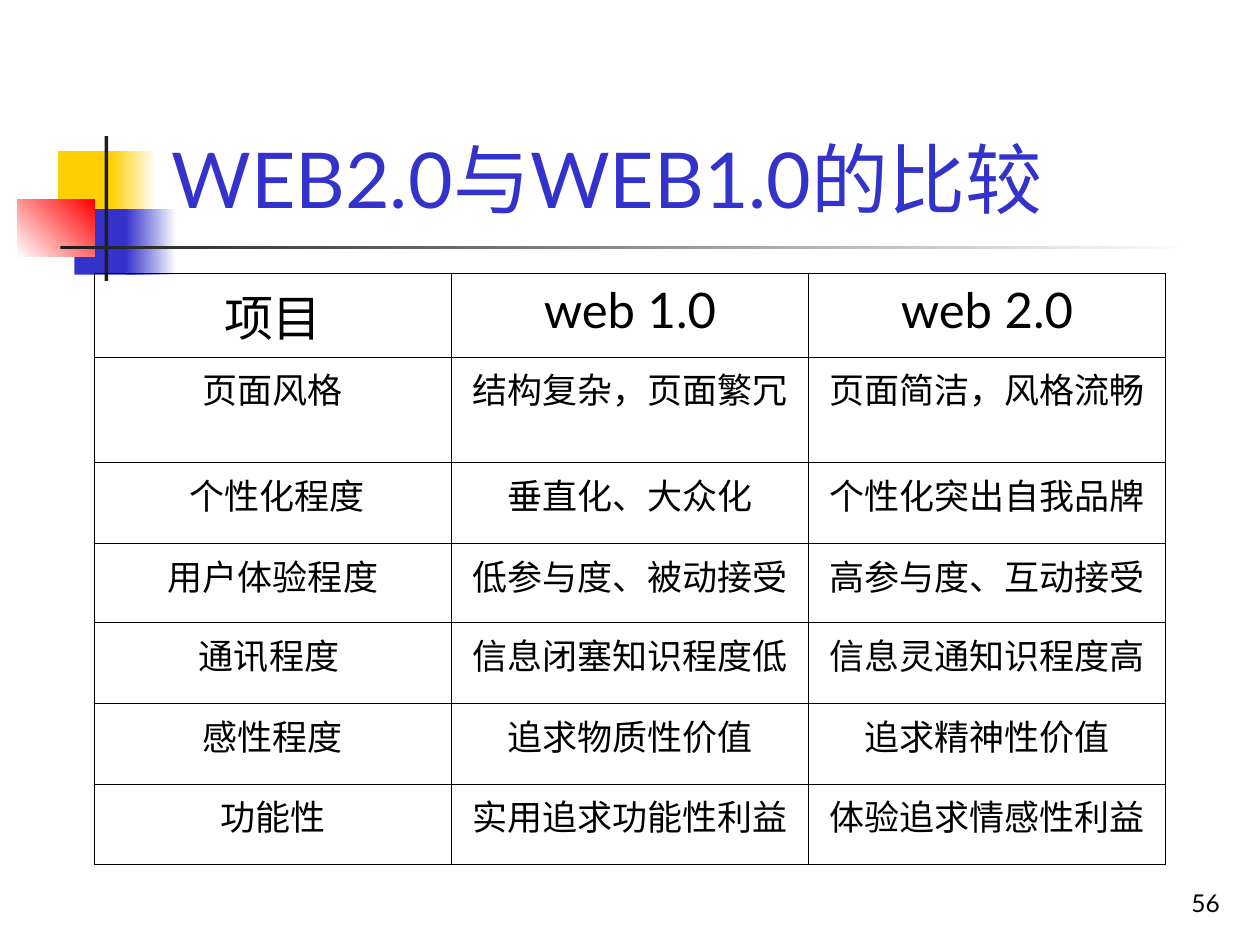
from lxml.etree import SubElement
from pptx import Presentation
from pptx.dml.color import RGBColor
from pptx.enum.shapes import MSO_SHAPE
from pptx.enum.text import MSO_ANCHOR, MSO_AUTO_SIZE, PP_ALIGN
from pptx.oxml.ns import qn
from pptx.util import Inches, Pt

COLORS = {
    "yellow": "FFCF01",
    "blue": "3333CC",
    "red": "FF0000",
    "dark": "1C1C1C",
    "white": "FFFFFF",
    "black": "000000",
}
GRID_COLUMNS, GRID_ROWS = 100, 75
TITLE = {"name": "Lato", "size": Pt(44), "bold": False}
HEADER = {"name": "Lato", "size": Pt(28), "bold": False}
CELL = {"name": "Lato", "size": Pt(20), "bold": False}
NUMBER = {"name": "Lato", "size": Pt(14), "bold": False}
OUTER_LINE, INNER_LINE = Pt(1.08), Pt(0.45)

ORNAMENTS = [
    ((4.6, 12, 4.8, 5.2), ["yellow"], 0),
    ((8.8, 12, 3.6, 5.2), ["yellow", "white"], 0),
    ((5.9, 16.6, 4.6, 5.2), ["blue"], 0),
    ((10, 16.6, 4, 5.2), ["blue", "white"], 0),
    ((1.4, 15.8, 6.1, 4.6), ["white", "red"], 45),
    ((8.3, 10.8, 0.3, 11.5), ["dark"], 0),
    ((4.8, 19.5, 90, 0.3), ["dark", "white"], 0),
]
COMPARISON = [
    ["项目", "web 1.0", "web 2.0"],
    ["页面风格", "结构复杂，页面繁冗", "页面简洁，风格流畅"],
    [" 个性化程度", "垂直化、大众化", "个性化突出自我品牌"],
    ["用户体验程度", "低参与度、被动接受", "高参与度、互动接受"],
    ["通讯程度 ", "信息闭塞知识程度低", "信息灵通知识程度高"],
    ["感性程度", "追求物质性价值", "追求精神性价值"],
    ["功能性", "实用追求功能性利益", "体验追求情感性利益"],
]
ROW_HEIGHTS = [6.4, 8.4, 6.4, 6.3, 6.4, 6.4, 6.4]


def grid(*lengths):
    """Turn grid units into slide lengths."""
    return [Inches(length * 10 / GRID_COLUMNS) for length in lengths]


def color(name):
    """Look up a named colour."""
    return RGBColor.from_string(COLORS[name])


def write(frame, text, style, ink="black", align=PP_ALIGN.LEFT, before=0):
    """Put one formatted paragraph into a text frame."""
    para = frame.paragraphs[0]
    para.alignment = align
    para.space_before = Pt(before)
    span = para.add_run()
    span.text = text
    for key, value in style.items():
        setattr(span.font, key, value)
    span.font.color.rgb = color(ink)


def add_ornament(page, place, names, angle):
    """Draw a rectangle filled with one colour or a gradient of two."""
    block = page.shapes.add_shape(MSO_SHAPE.RECTANGLE, *grid(*place))
    block.shadow.inherit = False
    block.line.fill.background()
    if len(names) == 1:
        block.fill.solid()
        block.fill.fore_color.rgb = color(names[0])
        return
    block.fill.gradient()
    block.fill.gradient_angle = angle
    for stop, name in zip(block.fill.gradient_stops, names):
        stop.color.rgb = color(name)


def set_title(page, text):
    """Move and fill the title placeholder."""
    title = page.shapes.title
    title.left, title.top, title.width, title.height = grid(12.6, 2.3, 85.2, 16)
    frame = title.text_frame
    frame.auto_size = MSO_AUTO_SIZE.NONE
    frame.vertical_anchor = MSO_ANCHOR.BOTTOM
    write(frame, text, TITLE, "blue")


def set_borders(cell, widths):
    """Line the four sides of a table cell."""
    properties = cell._tc.get_or_add_tcPr()
    for side, width in widths.items():
        line = SubElement(properties, qn(f"a:ln{side}"), w=str(int(width)))
        fill = SubElement(line, qn("a:solidFill"))
        SubElement(fill, qn("a:srgbClr"), val=COLORS["black"])


def add_comparison(page, rows):
    """Build the comparison table with a heavier outer frame."""
    last_row, last_column = len(rows) - 1, len(rows[0]) - 1
    place = grid(7.5, 21.7, 85, sum(ROW_HEIGHTS))
    table = page.shapes.add_table(len(rows), len(rows[0]), *place).table
    table.first_row = table.horz_banding = False
    for row, height in zip(table.rows, grid(*ROW_HEIGHTS)):
        row.height = height
    for r, texts in enumerate(rows):
        style, before = (CELL, 5) if r else (HEADER, 7)
        for c, text in enumerate(texts):
            cell = table.cell(r, c)
            edges = {"L": c == 0, "R": c == last_column, "T": r == 0, "B": r == last_row}
            set_borders(cell, {side: OUTER_LINE if outer else INNER_LINE
                               for side, outer in edges.items()})
            cell.fill.background()
            write(cell.text_frame, text, style, align=PP_ALIGN.CENTER, before=before)


def add_page_number(page, text):
    """Write the page number at the lower right."""
    box = page.shapes.add_textbox(*grid(77, 68.3, 20.8, 5))
    frame = box.text_frame
    frame.word_wrap = True
    frame.vertical_anchor = MSO_ANCHOR.BOTTOM
    write(frame, text, NUMBER, align=PP_ALIGN.RIGHT)


def main():
    """Build the slide and save it."""
    deck = Presentation()
    deck.slide_width, deck.slide_height = grid(GRID_COLUMNS, GRID_ROWS)
    page = deck.slides.add_slide(deck.slide_layouts[5])
    for place, names, angle in ORNAMENTS:
        add_ornament(page, place, names, angle)
    set_title(page, "WEB2.0与WEB1.0的比较")
    add_comparison(page, COMPARISON)
    add_page_number(page, "56")
    deck.save("out.pptx")


if __name__ == "__main__":
    main()
